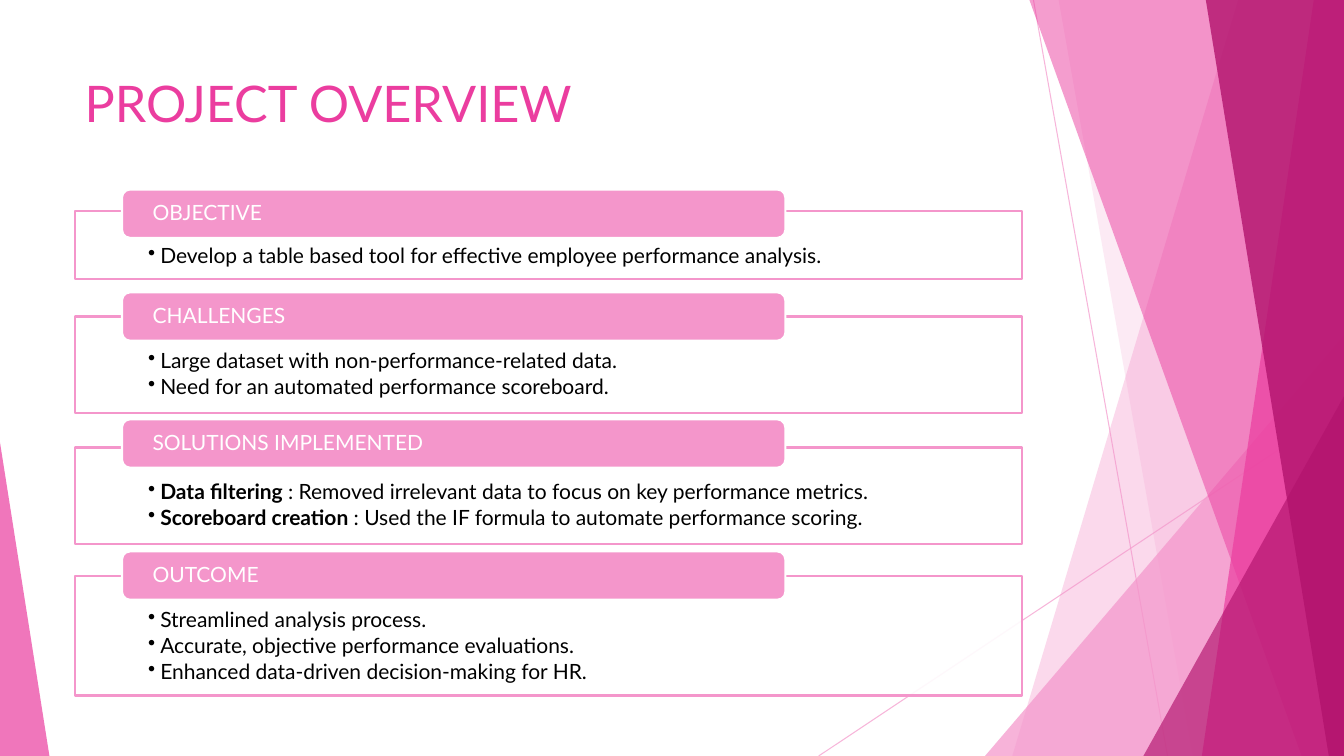
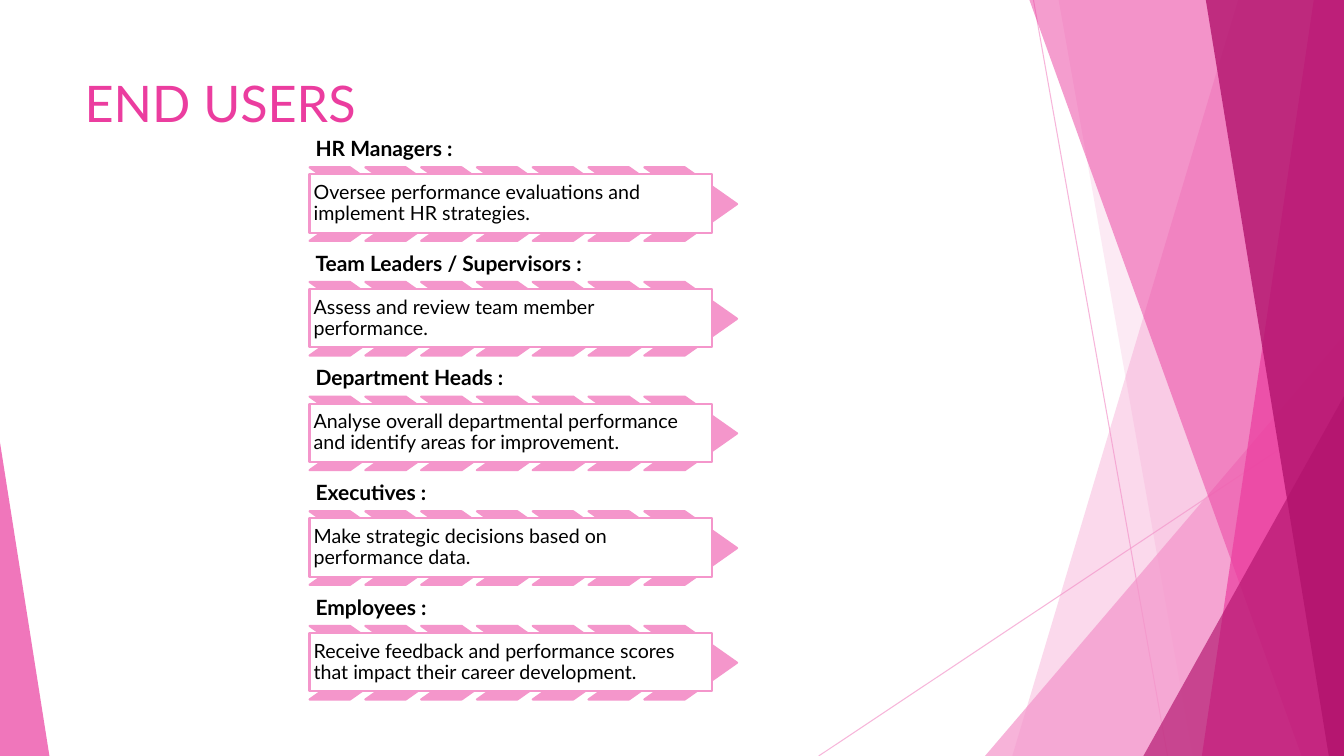
"""Build two slides on an employee performance project."""
from lxml.etree import SubElement
from pptx import Presentation
from pptx.dml.color import RGBColor
from pptx.enum.shapes import MSO_CONNECTOR, MSO_SHAPE
from pptx.enum.text import MSO_ANCHOR, PP_ALIGN
from pptx.oxml.ns import qn
from pptx.util import Inches, Pt

WIDTH, HEIGHT = 13.33, 7.5
FONT = "Lato"
COLORS = {"light": "F496CB", "pink": "EB3D9F", "dark": "B2136D", "white": "FFFFFF", "black": "000000"}

RAYS = [((10.25, 0), (11.58, HEIGHT)), ((WIDTH, 4.03), (8.12, HEIGHT))]
# Each facet: kind, geometry, colour, opacity in percent
FACETS = [
    ("band", (12.28, 10.04), "light", 36),
    ("band", (10.5, 11.83), "light", 20),
    ("corner", (9.77, 3.33, 3.56, 1), "light", 72),
    ("band", (10.21, 12.91), "pink", 50),
    ("band", (13.03, 11.92), "pink", 70),
    ("band", (11.96, 13.18), "dark", 80),
    ("corner", (11.34, 3.93, 1.99, 1), "dark", 66),
    ("corner", (0, 4.39, 0.49, 0), "pink", 70),
]

SECTIONS = [
    ("OBJECTIVE", 1.88, 2.09, 0.68, [
        ("", "Develop a table based tool for effective employee performance analysis.")]),
    ("CHALLENGES", 2.9, 3.14, 0.96, [
        ("", "Large dataset with non-performance-related data."),
        ("", "Need for an automated performance scoreboard.")]),
    ("SOLUTIONS IMPLEMENTED", 4.16, 4.44, 0.96, [
        ("Data filtering ", ": Removed irrelevant data to focus on key performance metrics."),
        ("Scoreboard creation ", ": Used the IF formula to automate performance scoring.")]),
    ("OUTCOME", 5.47, 5.71, 1.19, [
        ("", "Streamlined analysis process."),
        ("", "Accurate, objective performance evaluations."),
        ("", "Enhanced data-driven decision-making for HR.")]),
]
USERS = [
    ("HR Managers :", "Oversee performance evaluations and implement HR strategies."),
    ("Team Leaders / Supervisors :", "Assess and review team member performance."),
    ("Department Heads :", "Analyse overall departmental performance and identify areas for improvement."),
    ("Executives :", "Make strategic decisions based on performance data."),
    ("Employees :", "Receive feedback and performance scores that impact their career development."),
]
LEFT, CONTENT_WIDTH = 0.74, 9.4
PILL_LEFT, PILL_WIDTH, PILL_HEIGHT = 1.21, 6.58, 0.48
USER_LEFT, FIRST_ROW, LAST_ROW = 3.07, 1.66, 6.21
CHEVRONS, LAST_CHEVRON = 7, 6.39


def set_alpha(shape, route, alpha):
    for color in shape.element.xpath(f"./p:spPr/{route}a:solidFill/a:srgbClr"):
        SubElement(color, qn("a:alpha")).set("val", str(alpha * 1000))


def paint(shape, fill, alpha=100, edge=None):
    shape.shadow.inherit = False
    shape.fill.solid()
    shape.fill.fore_color.rgb = RGBColor.from_string(COLORS[fill])
    if alpha < 100:
        set_alpha(shape, "", alpha)
    if edge:
        shape.line.color.rgb = RGBColor.from_string(COLORS[edge])
        shape.line.width = Pt(1.5)
    else:
        shape.line.fill.background()


def add_block(page, kind, place, fill, **style):
    block = page.shapes.add_shape(kind, *map(Inches, place))
    paint(block, fill, **style)
    return block


def add_box(page, place):
    return page.shapes.add_textbox(*map(Inches, place))


def write(box, lines, size=15, color="black", anchor=MSO_ANCHOR.MIDDLE,
          insets=(0.1, 0.05, 0.1, 0.05), spacing=0.9, after=5.25, bullet=False):
    """Fill a shape with lines, each a pair of bold and plain text."""
    frame = box.text_frame
    frame.word_wrap = True
    frame.vertical_anchor = anchor
    frame.margin_left, frame.margin_top, frame.margin_right, frame.margin_bottom = map(Inches, insets)
    for index, line in enumerate(lines):
        para = frame.add_paragraph() if index else frame.paragraphs[0]
        para.alignment = PP_ALIGN.LEFT
        para.line_spacing, para.space_after = spacing, Pt(after)
        if bullet:
            settings = para._p.get_or_add_pPr()
            settings.set("marL", str(Inches(0.12)))
            settings.set("indent", str(-Inches(0.12)))
            SubElement(settings, qn("a:buChar")).set("char", "•")
        for text, bold in zip(line, (True, False)):
            if text:
                span = para.add_run()
                span.text = text
                span.font.name, span.font.size, span.font.bold = FONT, Pt(size), bold
                span.font.color.rgb = RGBColor.from_string(COLORS[color])


def add_ray(page, start, end):
    ray = page.shapes.add_connector(MSO_CONNECTOR.STRAIGHT, *map(Inches, start + end))
    ray.line.color.rgb = RGBColor.from_string(COLORS["light"])
    ray.line.width = Pt(0.75)
    set_alpha(ray, "a:ln/", 70)
    SubElement(ray.element.spPr, qn("a:effectLst"))


def add_facet(page, kind, geometry, color, alpha):
    if kind == "band":
        top, bottom = geometry
        outline = page.shapes.build_freeform(Inches(top), 0)
        corners = [(WIDTH, 0), (WIDTH, HEIGHT), (bottom, HEIGHT)]
        outline.add_line_segments([(Inches(x), Inches(y)) for x, y in corners])
        paint(outline.convert_to_shape(), color, alpha)
    else:
        left, top, width, apex = geometry
        place = (left, top, width, HEIGHT - top)
        corner = add_block(page, MSO_SHAPE.ISOSCELES_TRIANGLE, place, color, alpha=alpha)
        corner.adjustments[0] = apex


def add_page(deck, title):
    page = deck.slides.add_slide(deck.slide_layouts[6])
    for start, end in RAYS:
        add_ray(page, start, end)
    for facet in FACETS:
        add_facet(page, *facet)
    write(add_box(page, (LEFT, 0.67, CONTENT_WIDTH, 1.44)), [("", title)], size=36,
          color="pink", anchor=MSO_ANCHOR.TOP, spacing=1.0, after=0)
    return page


def add_overview(deck):
    page = add_page(deck, "PROJECT OVERVIEW")
    for heading, pill_top, top, height, lines in SECTIONS:
        panel = add_block(page, MSO_SHAPE.RECTANGLE, (LEFT, top, CONTENT_WIDTH, height),
                          "white", alpha=90, edge="light")
        write(panel, lines, anchor=MSO_ANCHOR.TOP, insets=(0.73, 0.34, 0.73, 0.12),
              after=2.25, bullet=True)
        pill = add_block(page, MSO_SHAPE.ROUNDED_RECTANGLE,
                         (PILL_LEFT, pill_top, PILL_WIDTH, PILL_HEIGHT), "light", edge="white")
        write(pill, [("", heading)], color="white", insets=(0.28, 0, 0.28, 0))


def add_users(deck):
    page = add_page(deck, "END USERS")
    pitch = (LAST_ROW - FIRST_ROW) / (len(USERS) - 1)
    step = (LAST_CHEVRON - USER_LEFT) / (CHEVRONS - 1)
    for row, (heading, duty) in enumerate(USERS):
        top = FIRST_ROW + row * pitch
        write(add_box(page, (USER_LEFT, top - 0.36, 3.94, 0.36)), [(heading, "")],
              anchor=MSO_ANCHOR.BOTTOM, insets=(0.06,) * 4)
        for column in range(CHEVRONS):
            chevron = add_block(page, MSO_SHAPE.CHEVRON,
                                (USER_LEFT + column * step, top, 0.92, 0.73), "light", edge="light")
            chevron.adjustments[0] = 0.71
        card = add_block(page, MSO_SHAPE.RECTANGLE, (USER_LEFT, top + 0.07, 3.99, 0.58),
                         "white", edge="light")
        write(card, [("", duty)], size=14, insets=(0.04,) * 4)


def main():
    deck = Presentation()
    deck.slide_width, deck.slide_height = Inches(WIDTH), Inches(HEIGHT)
    add_overview(deck)
    add_users(deck)
    deck.save("out.pptx")


if __name__ == "__main__":
    main()
